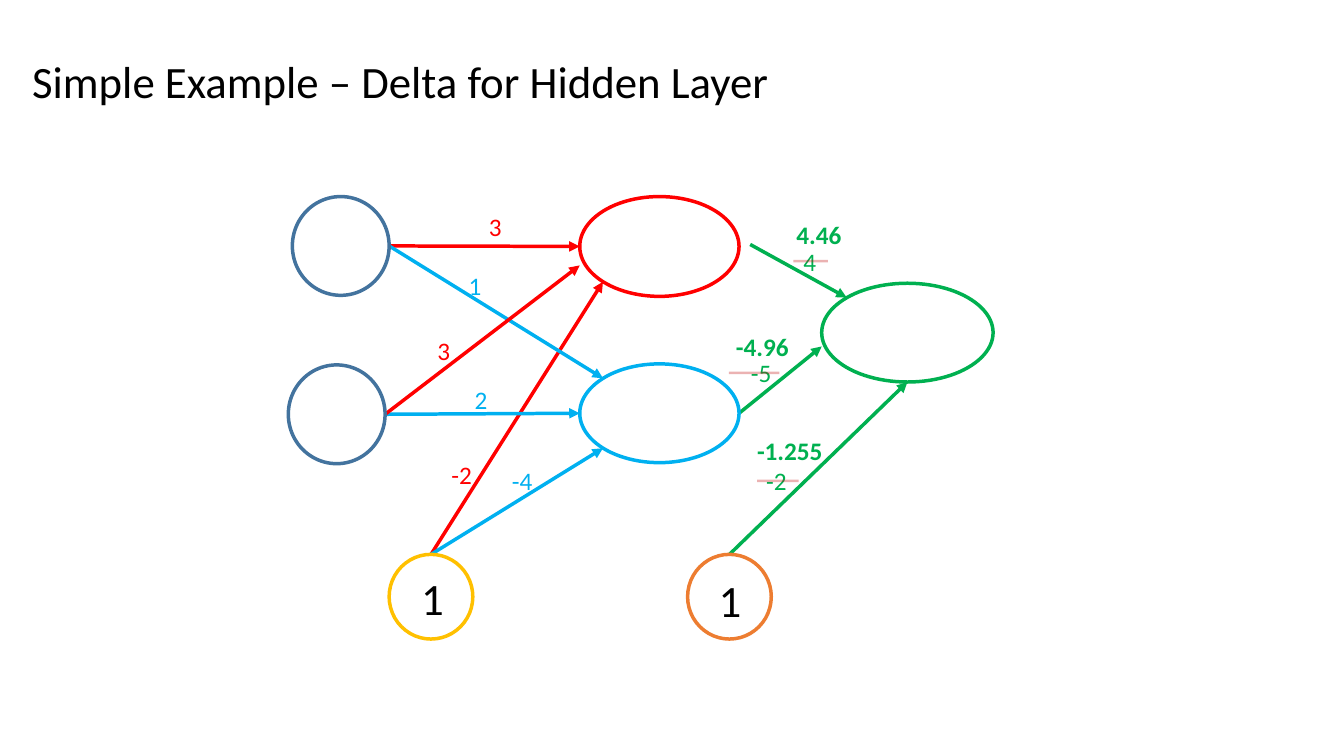
from pptx import Presentation
from pptx.dml.color import RGBColor
from pptx.enum.shapes import MSO_CONNECTOR, MSO_SHAPE
from pptx.enum.text import MSO_ANCHOR
from pptx.oxml.ns import qn
from pptx.util import Inches, Pt
from lxml import etree

OVAL = MSO_SHAPE.OVAL
LINE = MSO_CONNECTOR.STRAIGHT
MIDDLE = MSO_ANCHOR.MIDDLE
RED, BLUE, GREEN = "FF0000", "00B0F0", "00B050"
STEEL, GOLD, ORANGE, STRIKE = "43739E", "FFC000", "ED7D31", "C00000"

deck = Presentation()
deck.slide_width = Inches(13.33)
deck.slide_height = Inches(7.5)
slide = deck.slides.add_slide(deck.slide_layouts[6])
shapes = slide.shapes

# Grid: 133.3 columns by 75 rows
COL = deck.slide_width / 133.3
ROW = deck.slide_height / 75


def write(text, x, y, w, h, size, color, bold=False):
    box = shapes.add_textbox(int(x * COL), int(y * ROW), int(w * COL), int(h * ROW))
    frame = box.text_frame
    frame.word_wrap = True
    frame.text = text
    font = frame.paragraphs[0].runs[0].font
    font.name, font.size, font.bold = "Calibri", Pt(size), bold
    font.color.rgb = RGBColor.from_string(color)
    return frame


def draw(start, end, color, width):
    (x1, y1), (x2, y2) = start, end
    line = shapes.add_connector(LINE, int(x1 * COL), int(y1 * ROW),
                                int(x2 * COL), int(y2 * ROW))
    line.line.color.rgb = RGBColor.from_string(color)
    line.line.width = Pt(width)
    etree.SubElement(line._element.spPr, qn("a:effectLst"))
    return line.line._get_or_add_ln()


# Title
title = write("Simple Example – Delta for Hidden Layer", 2.2, 1.1, 115, 14.5, 32, "000000")
title.vertical_anchor = MIDDLE
title.paragraphs[0].line_spacing = 0.9

# Nodes: column, row, width, height, colour
nodes = {
    "in1": (29, 19.5, 9.6, 9.8, STEEL),
    "in2": (28.6, 36.2, 9.6, 9.8, STEEL),
    "hid1": (57.5, 19.5, 15.8, 9.9, RED),
    "hid2": (57.5, 36.1, 15.8, 9.8, BLUE),
    "out": (81.5, 28.1, 17, 9.8, GREEN),
    "bias1": (38.6, 55, 8.3, 8.4, GOLD),
    "bias2": (68.2, 55, 8.3, 8.4, ORANGE),
}

# Links: ends are shares of a node's width and height
TOP, LEFT, LOW, RIGHT = (0.5, 0), (0, 0.5), (0.5, 1), (1, 0.5)
NEAR, FAR = 0.146, 0.854  # where an oval meets its diagonals
links = [
    ("bias1", TOP, "hid1", (NEAR, FAR), RED),
    ("in2", RIGHT, "hid2", LEFT, BLUE),
    ("in1", RIGHT, "hid1", LEFT, RED),
    ("bias2", TOP, "out", LOW, GREEN),
    ("in1", RIGHT, "hid2", (NEAR, NEAR), BLUE),
    ("in2", RIGHT, "hid1", (0, 0.69), RED),
    ("hid2", RIGHT, "out", (0, 0.64), GREEN),
    ("hid1", (1.07, 0.48), "out", (NEAR, NEAR), GREEN),
    ("bias1", TOP, "hid2", (NEAR, FAR), BLUE),
]
for source, exit, target, entry, color in links:
    ends = []
    for name, (across, down) in ((source, exit), (target, entry)):
        x, y, w, h, _ = nodes[name]
        ends.append((x + across * w, y + down * h))
    ln = draw(*ends, color, 2.5)
    etree.SubElement(ln, qn("a:tailEnd"), type="triangle")

for x, y, w, h, color in nodes.values():
    oval = shapes.add_shape(OVAL, int(x * COL), int(y * ROW), int(w * COL), int(h * ROW))
    oval.shadow.inherit = False
    oval.fill.background()
    oval.line.color.rgb = RGBColor.from_string(color)
    oval.line.width = Pt(2.5)

# Bias values
for x, y in ((40.8, 56.1), (70.3, 56.3)):
    write("1", x, y, 4, 6.4, 32, "000000")

# Starting weights
weights = [
    ("4", 78.7, 23.9, GREEN), ("-5", 73.5, 35, GREEN), ("-2", 75, 45.7, GREEN),
    ("-2", 43.8, 45.1, RED), ("3", 42.4, 32.8, RED), ("3", 47.5, 20.5, RED),
    ("1", 45.5, 26.3, BLUE), ("2", 46.1, 37.6, BLUE), ("-4", 49.8, 45.7, BLUE),
]
for text, x, y, color in weights:
    write(text, x, y, 5.7 if len(text) > 1 else 4, 4, 18, color)

# Strikes through the old weights
for x, y, w in ((78.7, 25.9, 3.4), (72.3, 37, 5), (75.1, 47.7, 4.1)):
    ln = draw((x, y), (x + w, y), STRIKE, 1.75)
    tint = ln.find(qn("a:solidFill"))[0]
    etree.SubElement(tint, qn("a:alpha"), val="30000")

# Updated weights
for text, x, y in (("4.46", 78, 21.3), ("-4.96", 72, 32.4), ("-1.255", 74.1, 42.7)):
    write(text, x, y, 9.2, 4, 18, GREEN, True)

deck.save("out.pptx")
